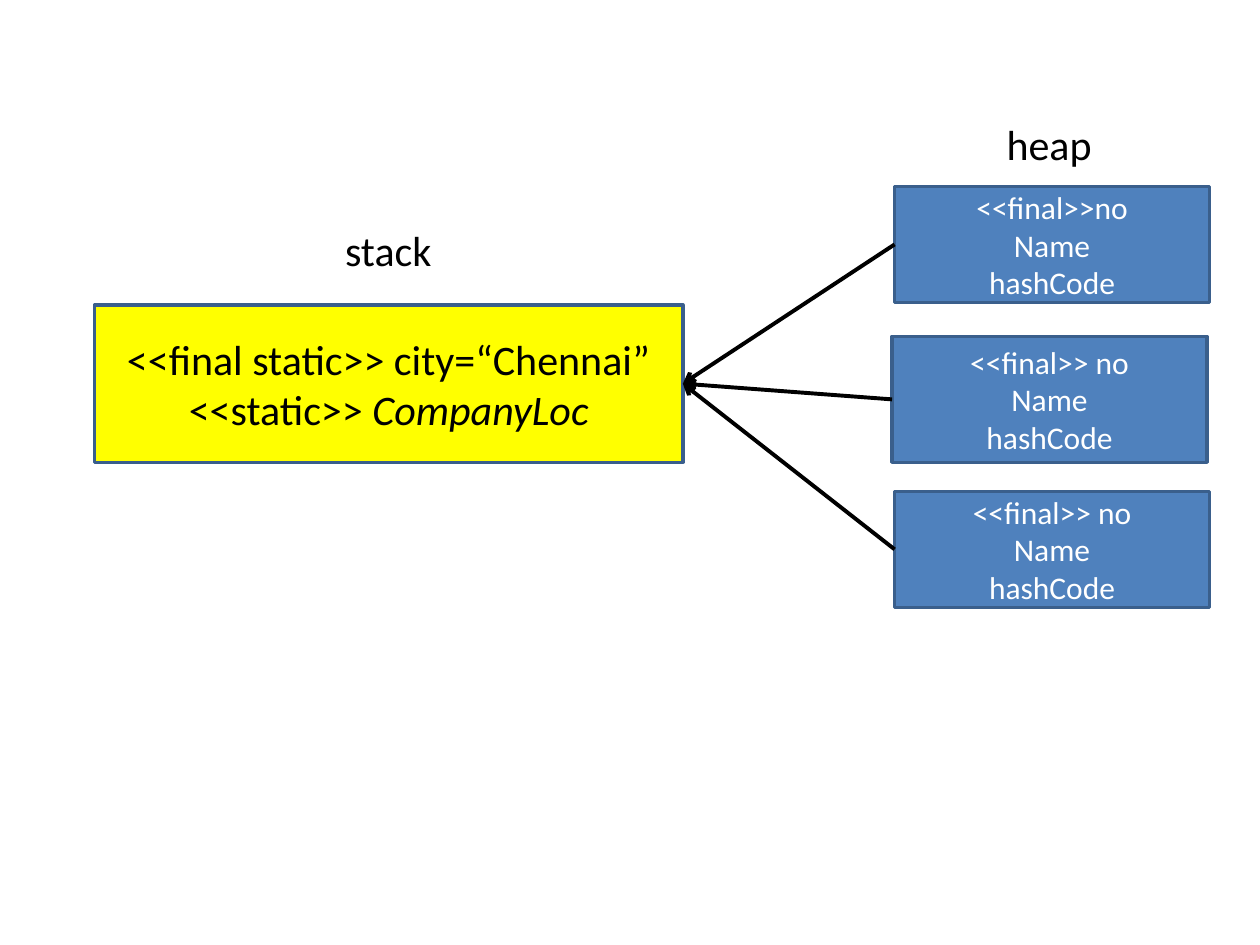
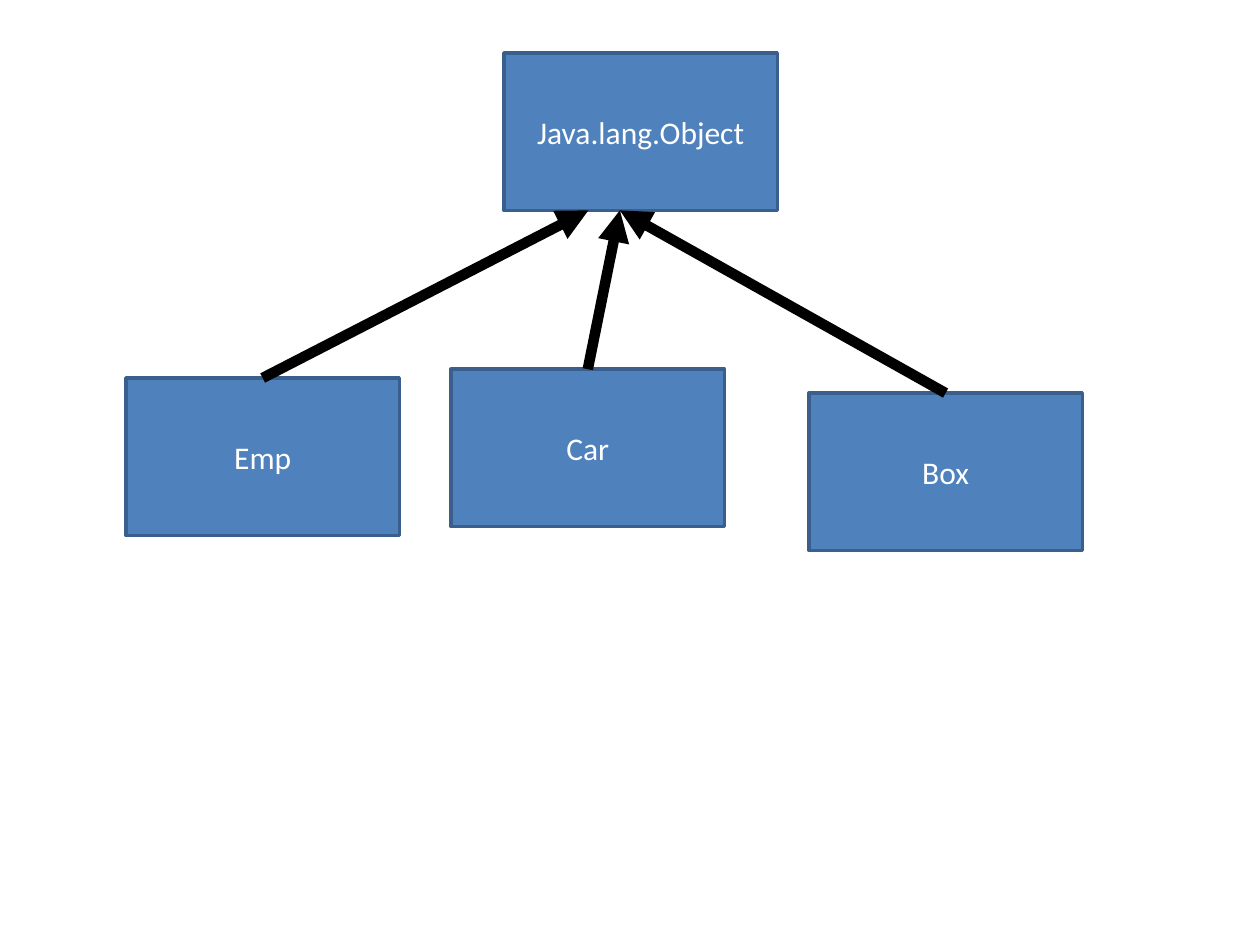
import pptx
import pptx.util
import pptx.dml.color
import pptx.enum.shapes
import pptx.enum.text
import pptx.oxml
import pptx.oxml.ns
import lxml.etree

Inches = pptx.util.Inches

COLORS = {
    "blue": "4F81BD",
    "outline": "3A5F8C",
    "yellow": "FFFF00",
    "black": "000000",
    "white": "FFFFFF",
}
FONT = "Calibri"
TOP, LEFT, RIGHT = 0, 1, 3


def rgb(name):
    return pptx.dml.color.RGBColor.from_string(COLORS[name])


def write_text(frame, text, size=18, color="white", centered=True, italic=None):
    for index, line in enumerate(text.split("\n")):
        para = frame.paragraphs[0] if index == 0 else frame.add_paragraph()
        if centered:
            para.alignment = pptx.enum.text.PP_ALIGN.CENTER
        parts = line.partition(italic) if italic else (line,)
        for part in filter(None, parts):
            span = para.add_run()
            span.text = part
            span.font.name = FONT
            span.font.size = pptx.util.Pt(size)
            span.font.color.rgb = rgb(color)
            if part == italic:
                span.font.italic = True


def add_box(page, left, top, width, height, text, fill="blue", **text_format):
    box = page.shapes.add_shape(
        pptx.enum.shapes.MSO_SHAPE.RECTANGLE,
        Inches(left), Inches(top), Inches(width), Inches(height))
    box.shadow.inherit = False
    box.fill.solid()
    box.fill.fore_color.rgb = rgb(fill)
    box.line.color.rgb = rgb("outline")
    box.line.width = pptx.util.Pt(2)
    box.text_frame.word_wrap = True
    box.text_frame.vertical_anchor = pptx.enum.text.MSO_ANCHOR.MIDDLE
    write_text(box.text_frame, text, **text_format)
    return box


def add_label(page, left, top, text):
    label = page.shapes.add_textbox(Inches(left), Inches(top), Inches(0.89), Inches(0.5))
    frame = label.text_frame
    frame.word_wrap = False
    frame.auto_size = pptx.enum.text.MSO_AUTO_SIZE.SHAPE_TO_FIT_TEXT
    write_text(frame, text, size=24, color="black", centered=False)


def add_arrow(page, source, side, end, width, head):
    arrow = page.shapes.add_connector(
        pptx.enum.shapes.MSO_CONNECTOR.STRAIGHT, source.left, source.top, *end)
    arrow.begin_connect(source, side)
    arrow.line.color.rgb = rgb("black")
    arrow.line.width = pptx.util.Pt(width)
    qn = pptx.oxml.ns.qn
    lxml.etree.SubElement(arrow.line._get_or_add_ln(), qn("a:tailEnd"), type=head)
    lxml.etree.SubElement(arrow._element.spPr, qn("a:effectLst"))
    return arrow


def build_memory_page(page):
    heap_boxes = [
        add_box(page, left, top, 2.5, height, f"{field}\nName\nhashCode")
        for left, top, height, field in (
            (7.1, 1.48, 0.92, "<<final>>no"),
            (7.08, 2.67, 1, "<<final>> no"),
            (7.1, 3.9, 0.92, "<<final>> no"),
        )
    ]
    stack_box = add_box(
        page, 0.75, 2.42, 4.67, 1.25,
        "<<final static>> city=“Chennai”\n<<static>> CompanyLoc",
        fill="yellow", size=24, color="black", italic="CompanyLoc")
    for heap_box in heap_boxes:
        arrow = add_arrow(page, heap_box, LEFT, (stack_box.left, stack_box.top), 2.25, "arrow")
        arrow.end_connect(stack_box, RIGHT)
    add_label(page, 2.64, 1.73, "stack")
    add_label(page, 7.89, 0.89, "heap")


def build_inheritance_page(page):
    width, height = 2.17, 1.25
    children = (
        ("Emp", 1, 3, 4.67),
        ("Car", 3.58, 2.93, 4.92),
        ("Box", 6.42, 3.12, 4.92),
    )
    child_boxes = [
        add_box(page, left, top, width, height, name) for name, left, top, _ in children
    ]
    parent_box = add_box(page, 4, 0.42, width, height, "Java.lang.Object")
    parent_bottom = parent_box.top + parent_box.height
    for child_box, (_, _, _, tip) in zip(child_boxes, children):
        add_arrow(page, child_box, TOP, (Inches(tip), parent_bottom), 6, "triangle")


def main():
    deck = pptx.Presentation()
    deck.slide_width = Inches(10)
    deck.slide_height = Inches(7.5)
    blank_layout = deck.slide_layouts[6]
    for build_page in (build_memory_page, build_inheritance_page):
        build_page(deck.slides.add_slide(blank_layout))
    deck.save("out.pptx")


if __name__ == "__main__":
    main()
